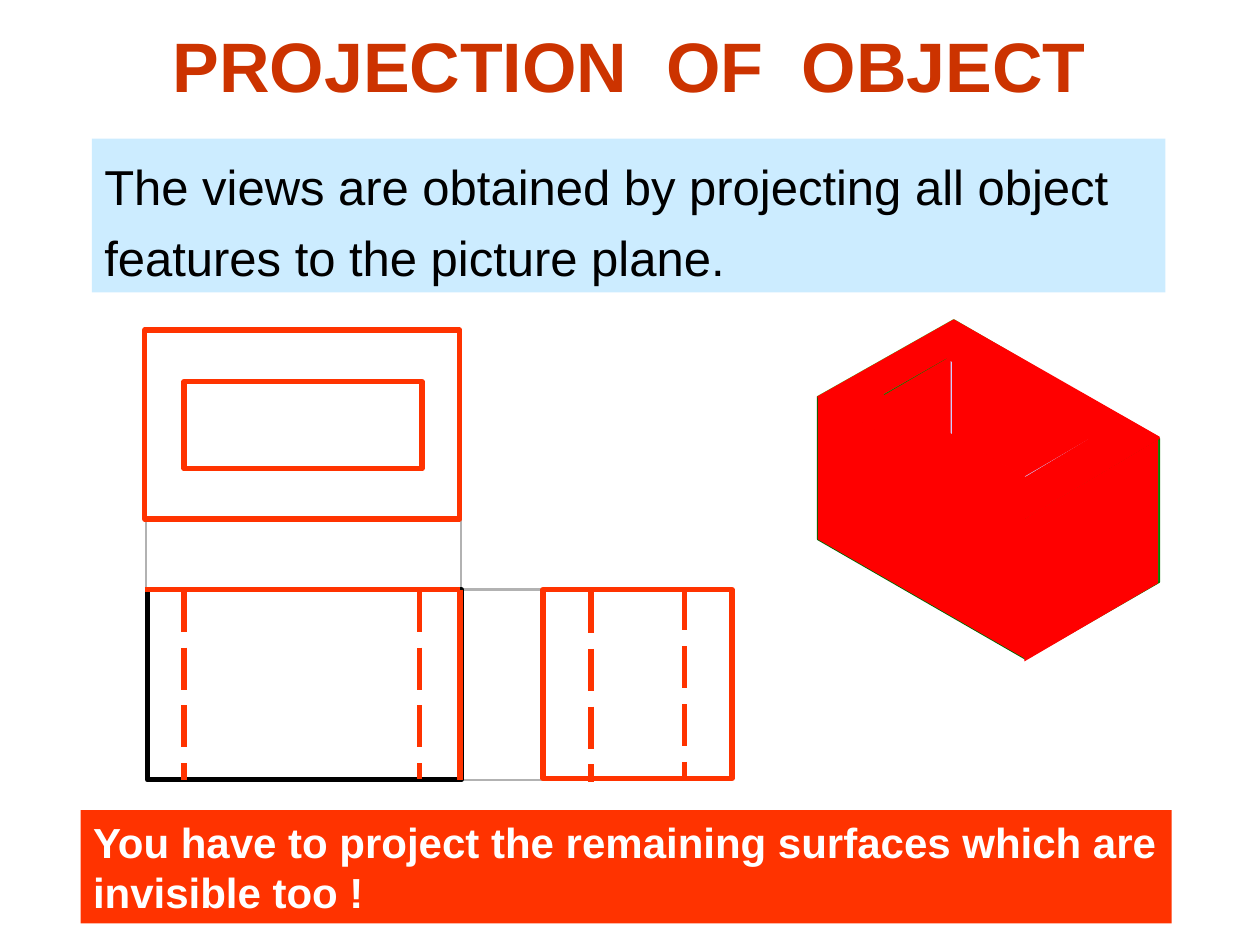
import pptx
import pptx.util
import pptx.dml.color
import pptx.enum.dml
import pptx.enum.shapes
import pptx.enum.text
import pptx.oxml.ns
import lxml.etree
from dataclasses import dataclass


@dataclass(frozen=True)
class Theme:
    font: str = "Arial"
    title_size: int = 40
    body_size: int = 28
    note_size: int = 24
    title: str = "CC3300"
    ink: str = "000000"
    white: str = "FFFFFF"
    panel: str = "CCECFF"
    view: str = "FF3300"
    guide: str = "B2B2B2"
    projected: str = "FF0000"
    glint: str = "CCCCFF"
    top_green: str = "33CC33"
    light_green: str = "99FF99"
    side_green: str = "339933"
    edge_dark: str = "006600"
    edge_green: str = "008000"


T = Theme()
COLS, ROWS = 100, 75  # grid over the whole slide
W, H = pptx.util.Inches(10), pptx.util.Inches(7.5)


def x(col):
    return round(W * col / COLS)


def y(row):
    return round(H * row / ROWS)


def rgb(color):
    return pptx.dml.color.RGBColor.from_string(color)


def paint(s, fill=None, line=None, width=1):
    s.shadow.inherit = False
    if fill:
        s.fill.solid()
        s.fill.fore_color.rgb = rgb(fill)
    else:
        s.fill.background()
    if line:
        s.line.color.rgb = rgb(line)
        s.line.width = pptx.util.Pt(width)
    else:
        s.line.fill.background()


def add_rect(slide, box, fill=None, line=None, width=3):
    left, top, cols, rows = box
    s = slide.shapes.add_shape(pptx.enum.shapes.MSO_SHAPE.RECTANGLE,
                               x(left), y(top), x(cols), y(rows))
    paint(s, fill, line, width)
    return s


def add_line(slide, start, end, color=T.view, width=3, dashed=False):
    s = slide.shapes.add_connector(pptx.enum.shapes.MSO_CONNECTOR.STRAIGHT,
                                   x(start[0]), y(start[1]), x(end[0]), y(end[1]))
    s.line.color.rgb = rgb(color)
    s.line.width = pptx.util.Pt(width)
    if dashed:
        s.line.dash_style = pptx.enum.dml.MSO_LINE.LONG_DASH
    lxml.etree.SubElement(s._element.spPr, pptx.oxml.ns.qn("a:effectLst"))


def add_face(slide, points, fill, line=None, width=1):
    corners = [(x(col), y(row)) for col, row in points]
    builder = slide.shapes.build_freeform(*corners[0], scale=1.0)
    builder.add_line_segments(corners[1:], close=True)
    paint(builder.convert_to_shape(), fill, line, width)


def write(s, text, size, color, bold=False, align="LEFT", spacing=None, wrap=True):
    tf = s.text_frame
    tf.text = text
    tf.word_wrap = wrap
    tf.vertical_anchor = pptx.enum.text.MSO_ANCHOR.TOP
    for p in tf.paragraphs:
        p.alignment = getattr(pptx.enum.text.PP_ALIGN, align)
        if spacing:
            p.line_spacing = spacing
        for r in p.runs:
            r.font.name = T.font
            r.font.size = pptx.util.Pt(size)
            r.font.bold = bold
            r.font.color.rgb = rgb(color)


def add_solid(slide):
    front = [(64.9, 31.5), (64.9, 42.8), (81.4, 52.3), (81.4, 41)]
    hole_left = [(70.1, 31.4), (75.6, 28.2), (75.6, 34.6)]
    hole_back = [(75.5, 28.3), (75.5, 34.6), (81.3, 37.9), (86.8, 34.7)]

    # Object with its green faces
    add_face(slide, [(64.9, 31.5), (81.5, 41), (91.9, 34.8), (75.7, 25.4)],
             T.top_green, T.top_green)
    add_face(slide, front, T.light_green, T.edge_dark)
    add_face(slide, [(81.4, 41), (81.4, 52.3), (92, 46.2), (92, 34.8)],
             T.side_green, T.edge_green)
    add_face(slide, hole_left, T.side_green, T.edge_green)
    add_face(slide, hole_back, T.light_green, T.edge_green)

    # Projected surfaces in red
    add_face(slide, front, T.projected)
    add_face(slide, hole_left, T.projected)
    add_face(slide, hole_back, T.projected, T.glint, 0.75)
    add_face(slide, [(81.3, 41.2), (81.3, 52.5), (91.9, 46.3), (91.9, 34.9)],
             T.projected)
    add_face(slide, [(81.4, 41.1), (64.9, 31.5), (75.7, 25.4), (92, 34.7),
                     (86.4, 34.8), (75.1, 28.4), (70, 31.3), (81.4, 37.9),
                     (86.4, 34.9), (92, 34.8)],
             T.projected, T.projected, 0.75)


def add_views(slide):
    left, right = 11.5, 36.5
    top, bottom = 46.8, 61.9

    # Guide lines between the views
    for col in (11.6, 36.6):
        add_line(slide, (col, 37.6), (col, 48.3), T.guide, 1.5)
    for row in (top, bottom):
        add_line(slide, (34.8, row), (45.5, row), T.guide, 1.5)

    # Front view
    add_rect(slide, (11.7, top, 24.9, 15.1), line=T.ink)
    add_line(slide, (right, top), (right, bottom))
    add_line(slide, (left, top), (right, top))

    # Side view and top view
    add_rect(slide, (43.1, top, 15, 15), line=T.view)
    add_rect(slide, (left, 26.2, 25, 15), line=T.view)
    add_rect(slide, (14.6, 30.3, 18.9, 6.9), line=T.view)

    # Hidden edges
    for col, start, end in ((14.6, top, bottom), (33.3, top, 61.8),
                            (46.9, 46.9, 62.1), (54.3, 46.7, 61.8)):
        add_line(slide, (col, start), (col, end), dashed=True)


def main():
    prs = pptx.Presentation()
    prs.slide_width, prs.slide_height = W, H
    slide = prs.slides.add_slide(prs.slide_layouts[6])

    add_solid(slide)
    add_views(slide)

    # Title
    s = slide.shapes.add_textbox(x(12.7), y(1.3), x(74.5), y(7.7))
    write(s, "PROJECTION  OF  OBJECT", T.title_size, T.title, bold=True,
          align="CENTER", wrap=False)

    # Statement
    s = add_rect(slide, (7.3, 11, 85.2, 12.2), fill=T.panel)
    write(s, "The views are obtained by projecting all object features "
             "to the picture plane.", T.body_size, T.ink, spacing=1.2)

    # Closing note
    s = add_rect(slide, (6.4, 64.3, 86.6, 9), fill=T.view)
    write(s, "You have to project the remaining surfaces which are\n"
             "invisible too !", T.note_size, T.white, bold=True, wrap=False)

    prs.save("out.pptx")


if __name__ == "__main__":
    main()
